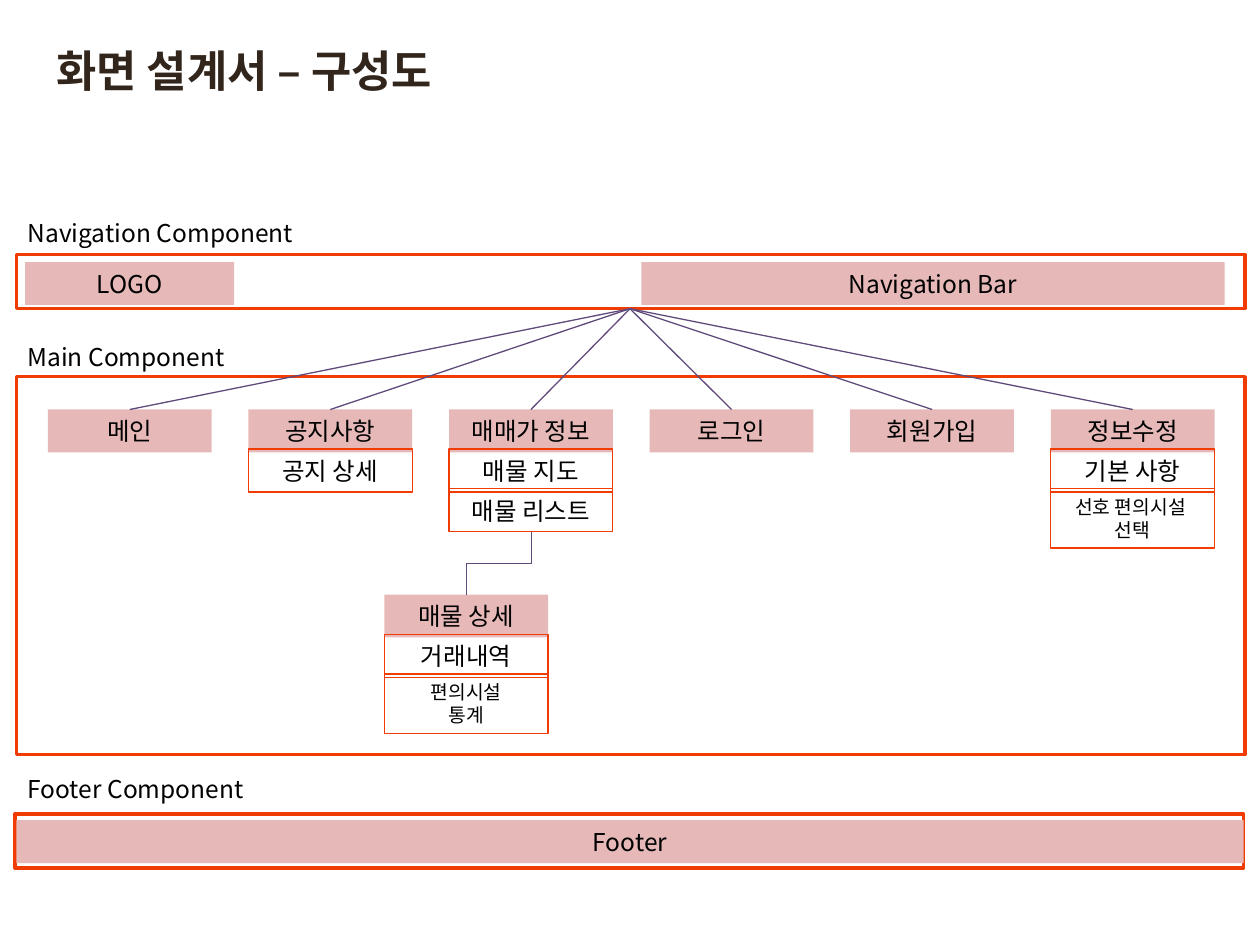
from lxml import etree
from pptx import Presentation
from pptx.dml.color import RGBColor
from pptx.enum.shapes import MSO_CONNECTOR, MSO_SHAPE
from pptx.enum.text import MSO_ANCHOR, PP_ALIGN
from pptx.oxml.ns import qn
from pptx.util import Inches, Pt

RECTANGLE = MSO_SHAPE.RECTANGLE
STRAIGHT, ELBOW = MSO_CONNECTOR.STRAIGHT, MSO_CONNECTOR.ELBOW
LEFT, CENTER = PP_ALIGN.LEFT, PP_ALIGN.CENTER
MIDDLE = MSO_ANCHOR.MIDDLE

PAGE_W, BOX_H, TALL_H = 1.3, 0.34, 0.47
ROW_STEP = 0.315


def color(hex_code):
    return RGBColor.from_string(hex_code)


class Diagram:
    font, title_font = "Noto Sans CJK KR", "Calibri"
    ink, title_ink = "000000", "31251C"
    accent, block_fill, link = "F03C02", "E6B9B8", "604A7B"
    size, small_size = 14, 11

    def __init__(self, slide):
        self.slide = slide

    def add_text(self, frame, text, size, align, font=None, ink=None, bold=False):
        frame.word_wrap = True
        frame.vertical_anchor = MIDDLE
        paragraph = frame.paragraphs[0]
        paragraph.alignment = align
        lines = text.split("\n")
        if len(lines) > 1:
            paragraph.line_spacing = Pt(size * 1.2)
        for number, line in enumerate(lines):
            if number:
                paragraph.add_line_break()
            run = paragraph.add_run()
            run.text = line
            run.font.name = font or self.font
            run.font.size = Pt(size)
            run.font.bold = bold
            run.font.color.rgb = color(ink or self.ink)
            east_asian = etree.SubElement(run.font._element, qn("a:ea"))
            east_asian.set("typeface", self.font)

    def title(self, text, left, top, width, height):
        title = self.slide.shapes.title
        title.left, title.top = Inches(left), Inches(top)
        title.width, title.height = Inches(width), Inches(height)
        self.add_text(title.text_frame, text, 25, LEFT,
                      self.title_font, self.title_ink, True)

    def label(self, text, top):
        box = self.slide.shapes.add_textbox(
            Inches(0.12), Inches(top), Inches(2.4), Inches(BOX_H))
        self.add_text(box.text_frame, text, self.size, LEFT)

    def rectangle(self, left, top, width, height, fill=None, line_width=None):
        shape = self.slide.shapes.add_shape(
            RECTANGLE, Inches(left), Inches(top), Inches(width), Inches(height))
        shape.shadow.inherit = False
        if fill:
            shape.fill.solid()
            shape.fill.fore_color.rgb = color(fill)
        else:
            shape.fill.background()
        if line_width:
            shape.line.color.rgb = color(self.accent)
            shape.line.width = Pt(line_width)
        else:
            shape.line.fill.background()
        return shape

    def frame(self, left, top, height):
        self.rectangle(left, top, 9.75, height, line_width=2)

    def block(self, text, left, top, width):
        shape = self.rectangle(left, top, width, BOX_H, fill=self.block_fill)
        self.add_text(shape.text_frame, text, self.size, CENTER)

    def page(self, name, sections, left, top):
        """Draw a page heading with its sections stacked below."""
        self.block(name, left, top, PAGE_W)
        for row, section in enumerate(sections, 1):
            tall = "\n" in section
            shape = self.rectangle(left, top + row * ROW_STEP, PAGE_W,
                                   TALL_H if tall else BOX_H, line_width=0.75)
            self.add_text(shape.text_frame, section,
                          self.small_size if tall else self.size, CENTER)

    def connect(self, kind, start, end):
        connector = self.slide.shapes.add_connector(
            kind, *(Inches(value) for value in (*start, *end)))
        connector.line.color.rgb = color(self.link)
        connector.line.width = Pt(0.75)
        etree.SubElement(connector._element.spPr, qn("a:effectLst"))
        return connector

    def connect_down(self, start, end):
        """Draw an elbow that leaves downwards and ends below, to the left."""
        (x1, y1), (x2, y2) = start, end
        middle_x, middle_y = (x1 + x2) / 2, (y1 + y2) / 2
        half_w, half_h = (y2 - y1) / 2, (x1 - x2) / 2
        connector = self.connect(ELBOW, (middle_x - half_w, middle_y - half_h),
                                 (middle_x + half_w, middle_y + half_h))
        connector._element.spPr.find(qn("a:xfrm")).set("rot", str(90 * 60000))


def main():
    presentation = Presentation()
    presentation.slide_width, presentation.slide_height = Inches(10), Inches(7.5)
    title_only = presentation.slide_layouts[5]
    diagram = Diagram(presentation.slides.add_slide(title_only))
    diagram.title("화면 설계서 – 구성도", 0.35, 0.12, 7.04, 0.87)

    diagram.frame(0.12, 6.46, 0.43)
    diagram.frame(0.13, 2.02, 0.43)
    diagram.frame(0.13, 2.99, 3)
    diagram.block("Navigation Bar", 5.09, 2.08, 4.63)
    diagram.block("LOGO", 0.2, 2.08, 1.66)
    diagram.block("Footer", 0.13, 6.51, 9.74)

    pages = [
        ("메인", []),
        ("공지사항", ["공지 상세"]),
        ("매매가 정보", ["매물 지도", "매물 리스트"]),
        ("로그인", []),
        ("회원가입", []),
        ("정보수정", ["기본 사항", "선호 편의시설 \n선택"]),
    ]
    first_left, last_left, pages_top = 0.38, 8.34, 3.25
    page_step = (last_left - first_left) / (len(pages) - 1)
    navigation_bottom = (5, 2.45)
    for column, (name, sections) in enumerate(pages):
        left = first_left + column * page_step
        diagram.page(name, sections, left, pages_top)
        diagram.connect(STRAIGHT, (left + PAGE_W / 2, pages_top), navigation_bottom)

    detail_left, detail_top = 3.05, 4.72
    diagram.page("매물 상세", ["거래내역", "편의시설\n통계"], detail_left, detail_top)
    diagram.connect_down((4.22, 4.22), (detail_left + PAGE_W / 2, detail_top))

    for text, top in (("Navigation Component", 1.68), ("Main Component", 2.66),
                      ("Footer Component", 6.09)):
        diagram.label(text, top)

    presentation.save("out.pptx")


if __name__ == "__main__":
    main()
